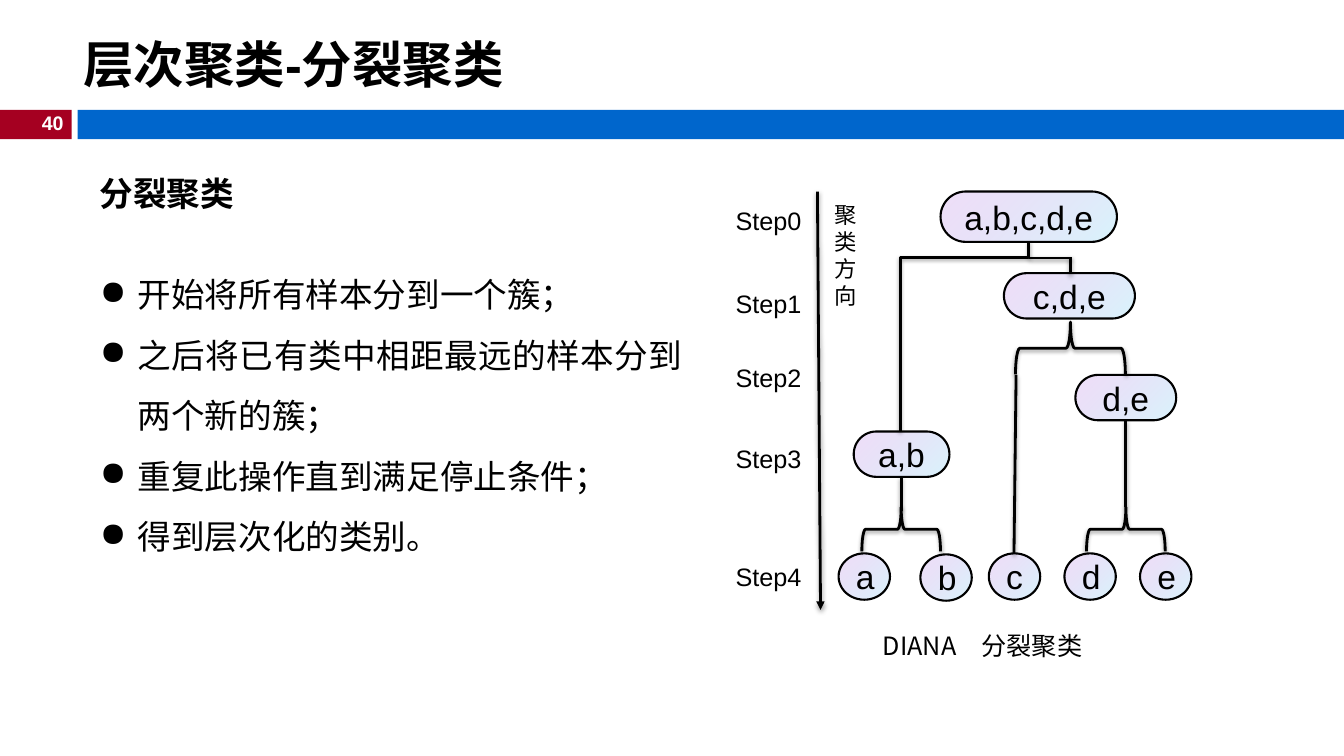
"""Build the slide on divisive hierarchical clustering (DIANA)."""
import lxml.etree
import pptx
import pptx.dml.color
import pptx.enum.shapes
import pptx.enum.text
import pptx.oxml.ns
import pptx.util

Pt = pptx.util.Pt
RGB = pptx.dml.color.RGBColor.from_string
qn = pptx.oxml.ns.qn
SHAPE = pptx.enum.shapes.MSO_SHAPE
LINE = pptx.enum.shapes.MSO_CONNECTOR
ALIGN = pptx.enum.text.PP_ALIGN
MIDDLE = pptx.enum.text.MSO_ANCHOR.MIDDLE

THEME = {
    "ink": "000000", "paper": "FFFFFF", "red": "A50021", "blue": "0066CC",
    "gradient": [(0, "69D4F4", 26), (100, "9F39D5", 17)], "angle": 225,
    "latin": "Arial", "serif": "Times New Roman", "cjk": "Noto Sans CJK SC",
    "title": 36, "body": 24, "label": 18, "direction": 16, "number": 14,
    "outline": 1.5, "branch": 2,
}

TITLE = "层次聚类-分裂聚类"
NUMBER = "40"
HEADING = "分裂聚类"
BULLETS = ["开始将所有样本分到一个簇；", "之后将已有类中相距最远的样本分到两个新的簇；",
           "重复此操作直到满足停止条件；", "得到层次化的类别。"]
CAPTION = "DIANA　分裂聚类"
DIRECTION = "聚类方向"
STEP_TOPS = [143.3, 202.3, 255.6, 313.2, 397.4]

BARS = [("red", 0, 51.1), ("blue", 55.4, 904.6)]
CLUSTERS = [("a,b,c,d,e", 671.8, 136.8, 126, 36), ("c,d,e", 717.1, 195.1, 93.6, 32.4),
            ("d,e", 768.2, 267.8, 72, 32.4), ("a,b", 609.8, 308.2, 68.4, 32.4)]
LEAVES = [("a", 599, 395.3), ("b", 657.4, 396), ("c", 706.3, 395.3),
          ("d", 760.3, 395.3), ("e", 814.3, 395.3)]
LEAF_SIZE = (36.7, 33.1)
BRACES = [(643.7, 362.2, 56.2, 31.7), (804.2, 362.2, 56.2, 31.7), (764.6, 230, 78.5, 37.4)]
BRANCHES = [(804.2, 300.2, 804.2, 362.2), (643.7, 365, 643.7, 340.6),
            (724.3, 395.3, 725.8, 267.8), (764.6, 195.8, 764.6, 183.6),
            (765.4, 184.3, 735.1, 184.3)]
ROOT_ELBOW = (756.7, 285.8, 621.4, 194.4)
ARROW = (583.9, 136.8, 586.1, 435.6)


def assign(obj, values):
    for name, value in values.items():
        setattr(obj, name, value)


def add(parent, tag, **attrs):
    return lxml.etree.SubElement(parent, qn(tag), {k: str(v) for k, v in attrs.items()})


def write(p, text, size, font="latin", color="ink", bold=False, align=ALIGN.LEFT):
    p.alignment = align
    r = p.add_run()
    r.text = text
    assign(r.font, {"size": Pt(THEME[size]), "name": THEME[font], "bold": bold})
    r.font.color.rgb = RGB(THEME[color])
    add(r.font._element, "a:ea", typeface=THEME["cjk"])


def text_box(slide, box, wrap=True, **frame):
    tf = slide.shapes.add_textbox(*map(Pt, box)).text_frame
    assign(tf, {"word_wrap": wrap, **frame})
    return tf


def outline(sp, width):
    sp.line.color.rgb = RGB(THEME["ink"])
    sp.line.width = Pt(THEME[width])


def branch_style(sp):
    outline(sp, "branch")
    shadow = add(add(sp._element.spPr, "a:effectLst"), "a:outerShdw", blurRad=Pt(3.1),
                 dist=Pt(1.6), dir=90 * 60000, rotWithShape=0)
    add(add(shadow, "a:srgbClr", val=THEME["ink"]), "a:alpha", val=38000)


def add_branch(slide, ends, kind=LINE.STRAIGHT):
    c = slide.shapes.add_connector(kind, *map(Pt, ends))
    branch_style(c)
    return c


def add_node(slide, kind, text, box):
    sp = slide.shapes.add_shape(kind, *map(Pt, box))
    sp.shadow.inherit = False
    if kind == SHAPE.ROUNDED_RECTANGLE:
        sp.adjustments[0] = 0.5
    sp.fill.gradient()
    grad = sp._element.spPr.find(qn("a:gradFill"))
    for child in list(grad):
        grad.remove(child)
    stops = add(grad, "a:gsLst")
    for pos, color, alpha in THEME["gradient"]:
        stop = add(stops, "a:gs", pos=pos * 1000)
        add(add(stop, "a:srgbClr", val=color), "a:alpha", val=alpha * 1000)
    add(grad, "a:lin", ang=THEME["angle"] * 60000, scaled=0)
    outline(sp, "outline")
    tf = sp.text_frame
    assign(tf, {"vertical_anchor": MIDDLE, "margin_top": Pt(7.2), "margin_bottom": Pt(7.2)})
    write(tf.paragraphs[0], text, "body", align=ALIGN.CENTER)


def add_header(slide):
    for color, left, width in BARS:
        sp = slide.shapes.add_shape(SHAPE.RECTANGLE, *map(Pt, (left, 78.5, width, 20.9)))
        sp.shadow.inherit = False
        sp.fill.solid()
        sp.fill.fore_color.rgb = RGB(THEME[color])
        sp.line.fill.background()
    tf = text_box(slide, (20.9, 75.6, 31.7, 24.5), wrap=False)
    write(tf.paragraphs[0], NUMBER, "number", color="paper", bold=True, align=ALIGN.RIGHT)
    tf = text_box(slide, (52.6, 18.7, 907.2, 53.3), vertical_anchor=MIDDLE)
    write(tf.paragraphs[0], TITLE, "title", bold=True)


def add_body(slide):
    tf = text_box(slide, (71.3, 123.8, 416.2, 305.3), margin_left=0, margin_top=0,
                  margin_right=0, margin_bottom=0)
    write(tf.paragraphs[0], HEADING, "body", "serif", bold=True, align=ALIGN.JUSTIFY)
    for i, text in enumerate(BULLETS):
        p = tf.add_paragraph()
        write(p, text, "body", "cjk", align=ALIGN.JUSTIFY)
        assign(p, {"line_spacing": 1.5, "space_before": Pt(0 if i else 29)})
        pPr = p._p.get_or_add_pPr()
        pPr.set("marL", str(Pt(27)))
        pPr.set("indent", str(-Pt(27)))
        add(pPr, "a:buChar", char="●")


def add_tree(slide):
    for text, *box in CLUSTERS:
        add_node(slide, SHAPE.ROUNDED_RECTANGLE, text, box)
    for text, left, top in LEAVES:
        add_node(slide, SHAPE.OVAL, text, (left, top, *LEAF_SIZE))
    for center, top, span, depth in BRACES:
        box = (center - depth / 2, top + depth / 2 - span / 2, depth, span)
        sp = slide.shapes.add_shape(SHAPE.RIGHT_BRACE, *map(Pt, box))
        sp.rotation = 270
        sp.fill.background()
        branch_style(sp)
    for ends in BRANCHES:
        add_branch(slide, ends)
    spPr = add_branch(slide, ROOT_ELBOW, LINE.ELBOW)._element.spPr
    spPr.find(qn("a:xfrm")).set("rot", str(90 * 60000))
    guides = spPr.find(qn("a:prstGeom")).find(qn("a:avLst"))
    add(guides, "a:gd", name="adj1", fmla="val 91400")
    c = add_branch(slide, ARROW)
    add(c.line._get_or_add_ln(), "a:tailEnd", type="triangle")


def add_labels(slide):
    for i, top in enumerate(STEP_TOPS):
        tf = text_box(slide, (518.4, top, 72, 28.8))
        write(tf.paragraphs[0], f"Step{i}", "label")
    tf = text_box(slide, (589, 140.4, 34.6, 85))
    write(tf.paragraphs[0], DIRECTION, "direction")
    tf = text_box(slide, (623.5, 446.4, 253.4, 28.8))
    write(tf.paragraphs[0], CAPTION, "label", "cjk")


def main():
    prs = pptx.Presentation()
    assign(prs, {"slide_width": Pt(960), "slide_height": Pt(540)})
    slide = prs.slides.add_slide(prs.slide_layouts[6])
    for part in (add_header, add_body, add_tree, add_labels):
        part(slide)
    prs.save("out.pptx")


if __name__ == "__main__":
    main()
